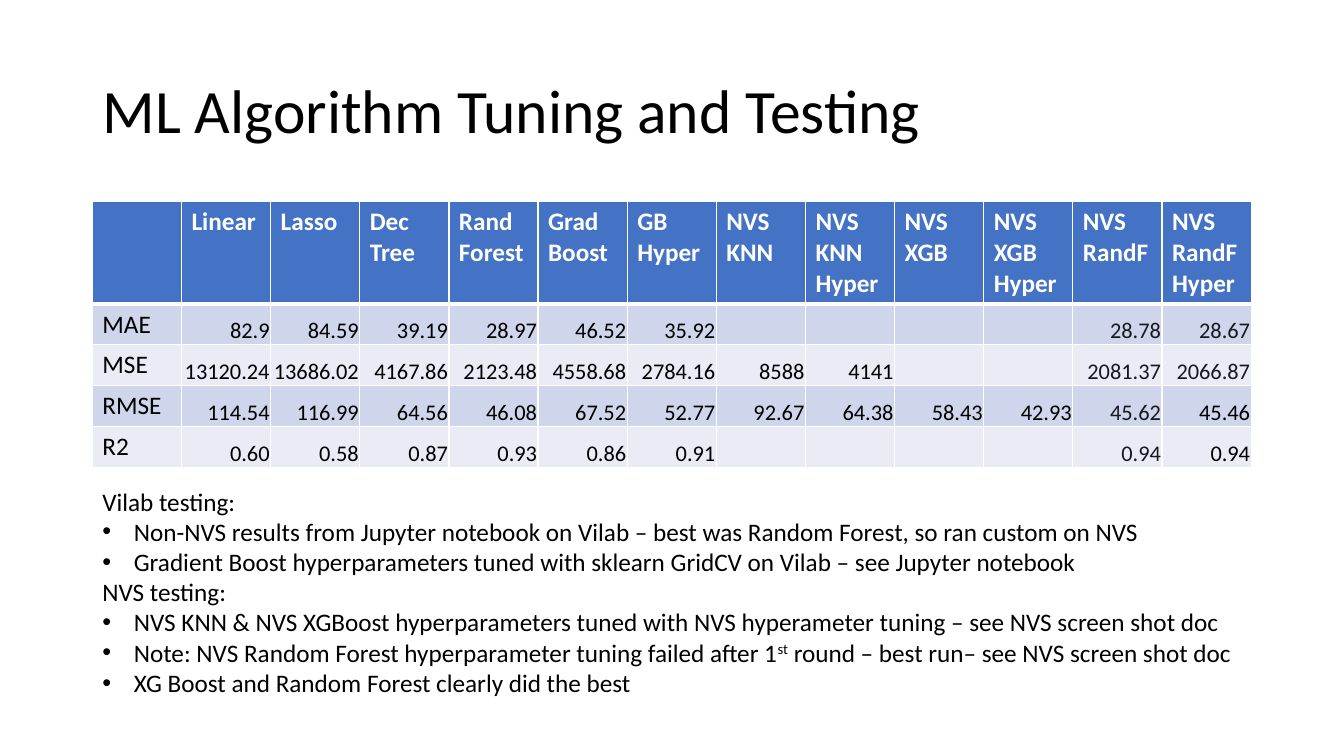
from lxml import etree
from pptx import Presentation
from pptx.dml.color import RGBColor
from pptx.enum.text import MSO_ANCHOR as Anchor, PP_ALIGN as Align
from pptx.oxml.ns import qn
from pptx.util import Pt

COLORS = {
    "black": "000000",
    "ink": "16191F",
    "white": "FFFFFF",
    "header": "4472C4",
    "band dark": "CFD5EA",
    "band light": "E9EBF5",
}


def style_paragraph(paragraph, size, color="black", bold=False):
    paragraph.font.name = "Calibri"
    paragraph.font.size = Pt(size)
    paragraph.font.bold = bold
    paragraph.font.color.rgb = RGBColor.from_string(COLORS[color])


def set_borders(cell, top, bottom):
    properties = cell._tc.get_or_add_tcPr()
    for side, width in (("L", 1), ("R", 1), ("T", top), ("B", bottom)):
        line = etree.SubElement(properties, qn(f"a:ln{side}"), w=str(Pt(width)))
        fill = etree.SubElement(line, qn("a:solidFill"))
        etree.SubElement(fill, qn("a:srgbClr"), val=COLORS["white"])


presentation = Presentation()
presentation.slide_width = Pt(960)
presentation.slide_height = Pt(540)
slide = presentation.slides.add_slide(presentation.slide_layouts[5])

# Title
title = slide.shapes.title
title.left, title.top, title.width, title.height = Pt(66), Pt(28.75), Pt(828), Pt(104.4)
title.text_frame.text = "ML Algorithm Tuning and Testing"
title.text_frame.vertical_anchor = Anchor.MIDDLE
heading = title.text_frame.paragraphs[0]
heading.alignment = Align.LEFT
heading.line_spacing = 0.9
style_paragraph(heading, 44)

# Results table
rows = [
    ["", "Linear", "Lasso", "Dec Tree", "Rand Forest", "Grad Boost", "GB\nHyper",
     "NVS KNN", "NVS\nKNN\nHyper", "NVS\nXGB", "NVS\nXGB\nHyper",
     "NVS\nRandF", "NVS\nRandF\nHyper"],
    ["MAE", "82.9", "84.59", "39.19", "28.97", "46.52", "35.92",
     "", "", "", "", "28.78", "28.67"],
    ["MSE", "13120.24", "13686.02", "4167.86", "2123.48", "4558.68", "2784.16",
     "8588", "4141", "", "", "2081.37", "2066.87"],
    ["RMSE", "114.54", "116.99", "64.56", "46.08", "67.52", "52.77",
     "92.67", "64.38", "58.43", "42.93", "45.62", "45.46"],
    ["R2", "0.60", "0.58", "0.87", "0.93", "0.86", "0.91",
     "", "", "", "", "0.94", "0.94"],
]
ink_cells = {(1, 11), (1, 12), (2, 11), (2, 12), (3, 11), (4, 11)}
header_height, row_height = 73, 29.2
table = slide.shapes.add_table(
    len(rows), len(rows[0]), Pt(66), Pt(144),
    Pt(828), Pt(header_height + 4 * row_height)).table
for column in table.columns:
    column.width = Pt(828 / len(rows[0]))

for r, row in enumerate(rows):
    table.rows[r].height = Pt(row_height if r else header_height)
    band = "band dark" if r % 2 else "band light"
    for c, text in enumerate(row):
        cell = table.cell(r, c)
        set_borders(cell, top=3 if r == 1 else 1, bottom=1 if r else 3)
        cell.fill.solid()
        cell.fill.fore_color.rgb = RGBColor.from_string(COLORS[band if r else "header"])
        cell.text = text
        is_value = r > 0 and c > 0 and text != ""
        if is_value:
            cell.vertical_anchor = Anchor.BOTTOM
            cell.margin_left = cell.margin_right = cell.margin_top = Pt(0.75)
            cell.margin_bottom = 0
        for paragraph in cell.text_frame.paragraphs:
            if r == 0:
                style_paragraph(paragraph, 18, "white", bold=True)
            elif is_value:
                paragraph.alignment = Align.RIGHT
                style_paragraph(paragraph, 16, "ink" if (r, c) in ink_cells else "black")
            else:
                style_paragraph(paragraph, 18)

# Testing notes: (bulleted, runs), where every second run is superscript
notes = [
    (False, ["Vilab testing:"]),
    (True, ["Non-NVS results from Jupyter notebook on Vilab – best was Random Forest, "
            "so ran custom on NVS"]),
    (True, ["Gradient Boost hyperparameters tuned with sklearn GridCV on Vilab – "
            "see Jupyter notebook"]),
    (False, ["NVS testing:"]),
    (True, ["NVS KNN & NVS XGBoost hyperparameters tuned with NVS hyperameter tuning – "
            "see NVS screen shot doc"]),
    (True, ["Note: NVS Random Forest hyperparameter tuning failed after 1", "st",
            " round – best run– see NVS screen shot doc"]),
    (True, ["XG Boost and Random Forest clearly did the best"]),
]
notes_frame = slide.shapes.add_textbox(Pt(66), Pt(343.5), Pt(840), Pt(160)).text_frame
notes_frame.word_wrap = True
for i, (bulleted, runs) in enumerate(notes):
    paragraph = notes_frame.add_paragraph() if i else notes_frame.paragraphs[0]
    for n, text in enumerate(runs):
        run = paragraph.add_run()
        run.text = text
        if n % 2:
            run._r.get_or_add_rPr().set("baseline", "30000")
    if bulleted:
        properties = paragraph._p.get_or_add_pPr()
        properties.set("marL", str(Pt(22.5)))
        properties.set("indent", str(-Pt(22.5)))
        etree.SubElement(properties, qn("a:buFont"), typeface="Arial")
        etree.SubElement(properties, qn("a:buChar"), char="•")
    style_paragraph(paragraph, 18)

presentation.save("out.pptx")
